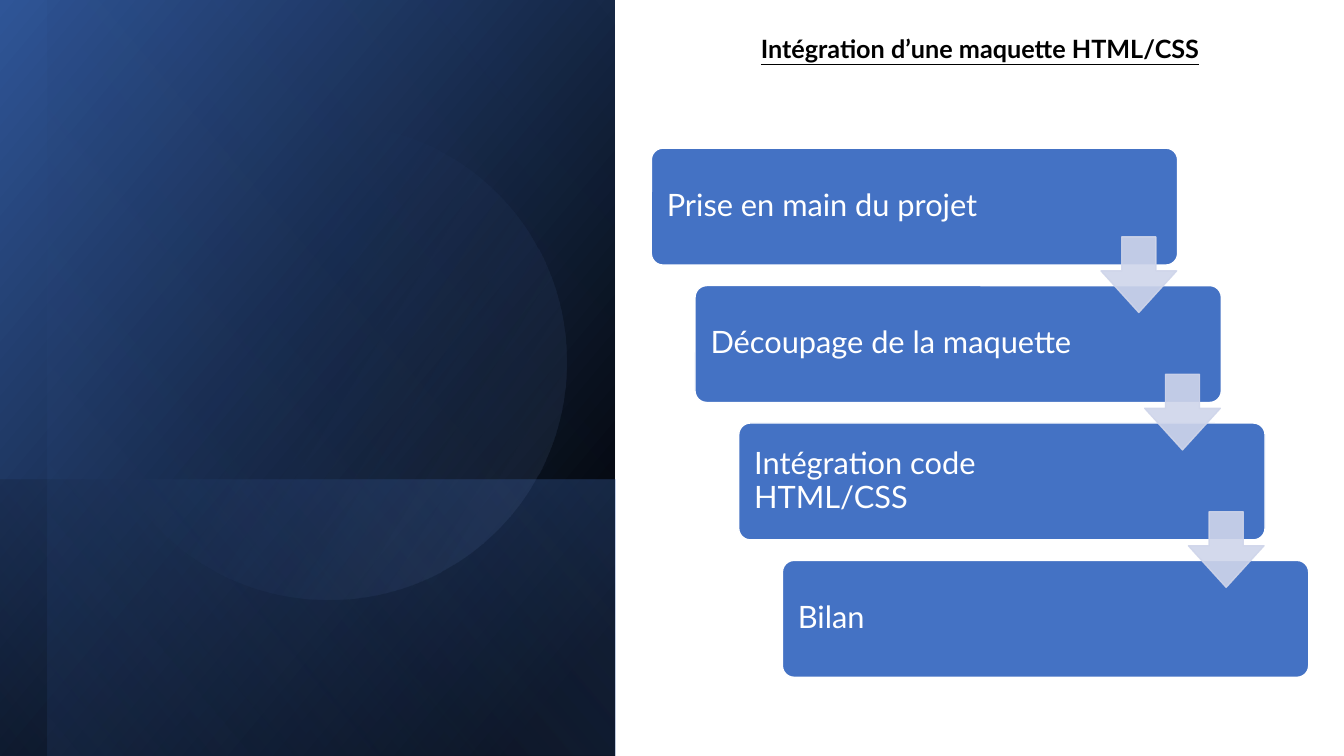
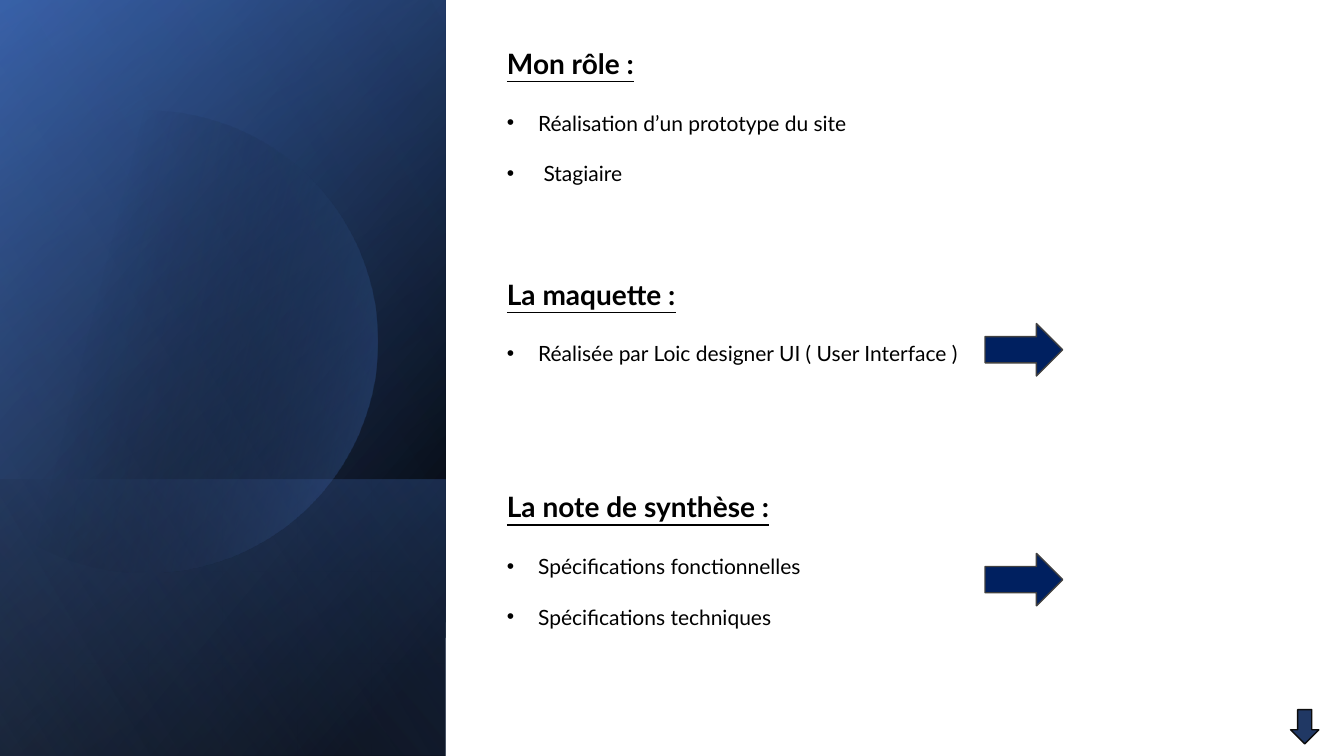
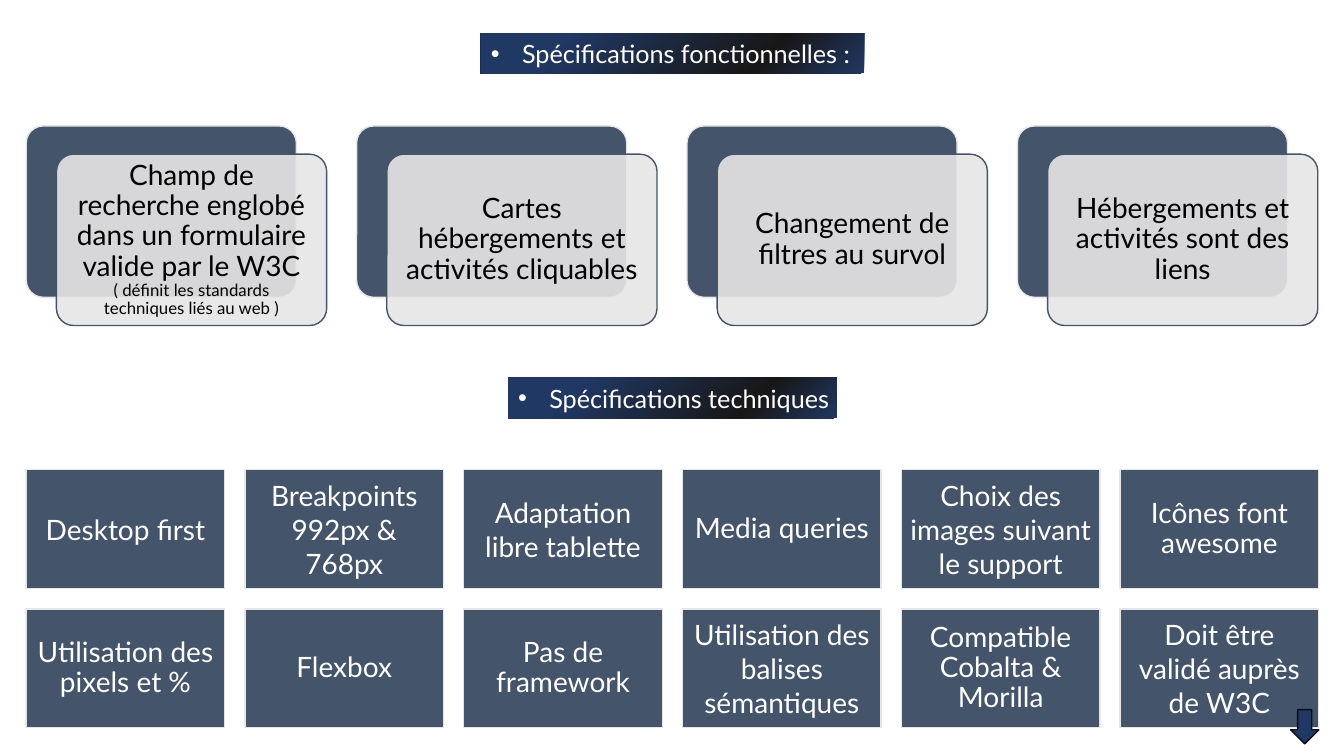
from dataclasses import dataclass
from math import acos, cos, pi, sin

from lxml import etree
from pptx import Presentation
from pptx.dml.color import RGBColor
from pptx.enum.shapes import MSO_SHAPE
from pptx.enum.text import MSO_ANCHOR, PP_ALIGN
from pptx.oxml.ns import qn
from pptx.util import Inches, Pt

RECT = MSO_SHAPE.RECTANGLE
ROUND = MSO_SHAPE.ROUNDED_RECTANGLE
OVAL = MSO_SHAPE.OVAL
DOWN = MSO_SHAPE.DOWN_ARROW
RIGHT = MSO_SHAPE.RIGHT_ARROW
MIDDLE, TOP = MSO_ANCHOR.MIDDLE, MSO_ANCHOR.TOP
LEFT, CENTER = PP_ALIGN.LEFT, PP_ALIGN.CENTER

FONT = "Lato"
COLORS = {
    "black": "000000", "white": "FFFFFF", "blue": "4472C4", "deep": "2F5597",
    "pale": "8FAADC", "mist": "CFD5EA", "navy": "203864", "ink": "002060",
    "slate": "44546A", "light": "E7E6E6", "coal": "181717", "edge": "404040",
    "dark": "0D0D0D",
}


@dataclass(frozen=True)
class Box:
    x: float
    y: float
    w: float
    h: float

    def emu(self) -> tuple:
        return tuple(Inches(v) for v in (self.x, self.y, self.w, self.h))


@dataclass(frozen=True)
class Stop:
    pos: int
    color: str
    alpha: int = 100


@dataclass(frozen=True)
class Panel:
    box: Box
    stops: tuple
    angle: int


@dataclass(frozen=True)
class Topic:
    title: str
    y: float
    h: float
    items: tuple


@dataclass(frozen=True)
class Tile:
    text: str
    tight: bool = True


# Shared gradients
BASE = (Stop(8, "black"), Stop(100, "deep"))
FOOT = (Stop(2, "blue", 29), Stop(100, "black", 30))
BANNER = (Stop(21, "navy"), Stop(73, "coal"), Stop(100, "navy"))


def rgb(name: str) -> RGBColor:
    return RGBColor.from_string(COLORS[name])


def fade(color, alpha: int) -> None:
    """Add transparency to a colour element."""
    if alpha < 100:
        etree.SubElement(color, qn("a:alpha"), val=str(alpha * 1000))


def grade(shape, stops: tuple, angle: int | None = None) -> None:
    """Fill with a linear gradient, or a radial one when there is no angle."""
    shape.fill.background()
    grad = etree.Element(qn("a:gradFill"), rotWithShape="1")
    stack = etree.SubElement(grad, qn("a:gsLst"))
    for stop in stops:
        mark = etree.SubElement(stack, qn("a:gs"), pos=str(stop.pos * 1000))
        fade(etree.SubElement(mark, qn("a:srgbClr"), val=COLORS[stop.color]), stop.alpha)
    if angle is None:
        path = etree.SubElement(grad, qn("a:path"))
        path.set("path", "circle")
        etree.SubElement(path, qn("a:fillToRect"), r="100000", b="100000")
    else:
        etree.SubElement(grad, qn("a:lin"), ang=str(angle * 60000), scaled="0")
    props = shape._element.spPr
    props.replace(props.find(qn("a:noFill")), grad)


def draw(slide, kind, box: Box, fill: str | None = None, line: str | None = None,
         alpha: int = 100, adj: tuple = ()):
    shape = slide.shapes.add_shape(kind, *box.emu())
    shape.shadow.inherit = False
    for i, value in enumerate(adj):
        shape.adjustments[i] = value
    if fill:
        shape.fill.solid()
        shape.fill.fore_color.rgb = rgb(fill)
        fade(shape._element.spPr.find(".//" + qn("a:srgbClr")), alpha)
    if line:
        shape.line.color.rgb = rgb(line)
        shape.line.width = Pt(1)
    else:
        shape.line.fill.background()
    return shape


def frame(shape, pads: tuple = (0.1, 0.05, 0.1, 0.05), anchor=MIDDLE):
    text = shape.text_frame
    text.word_wrap = True
    text.vertical_anchor = anchor
    (text.margin_left, text.margin_top,
     text.margin_right, text.margin_bottom) = (Inches(p) for p in pads)
    return text


def write(para, text: str, size: float, color: str, align=LEFT, bold: bool = False,
          under: bool = False, space: float = 1.0) -> None:
    para.alignment = align
    para.line_spacing = space
    run = para.add_run()
    run.text = text
    font = run.font
    font.name, font.size, font.bold, font.underline = FONT, Pt(size), bold, under
    font.color.rgb = rgb(color)


def bullet(para) -> None:
    props = para._p.get_or_add_pPr()
    props.set("marL", str(Inches(0.31)))
    props.set("indent", str(-Inches(0.31)))
    etree.SubElement(props, qn("a:buFont"), typeface="Arial")
    etree.SubElement(props, qn("a:buChar"), char="•")


def panel(slide, part: Panel) -> None:
    """Draw a mirrored gradient panel turned by a quarter."""
    box = part.box
    shift = (box.w - box.h) / 2
    shape = draw(slide, RECT, Box(box.x + shift, box.y - shift, box.h, box.w))
    shape.rotation = 90
    shape._element.spPr.xfrm.set("flipH", "1")
    grade(shape, part.stops, part.angle)


def corner(slide) -> None:
    draw(slide, DOWN, Box(12.8, 7.04, 0.28, 0.34), "navy", "dark")


def plan(slide) -> None:
    # Side art
    for part in (
        Panel(Box(0, 0, 6.1, 7.5), BASE, 50),
        Panel(Box(0, 4.76, 6.1, 2.74), FOOT, 130),
        Panel(Box(0.47, 0, 5.63, 7.5), (Stop(0, "black", 0), Stop(99, "blue", 11)), 130),
    ):
        panel(slide, part)
    disc = draw(slide, OVAL, Box(0.9, 1.23, 4.72, 4.72))
    disc.rotation = 101.6
    grade(disc, (Stop(39, "blue", 0), Stop(100, "pale", 15)), 290)

    # Title
    title = slide.shapes.add_textbox(*Box(6.33, 0.28, 6.78, 0.4).emu())
    write(frame(title, anchor=TOP).paragraphs[0], "Intégration d’une maquette HTML/CSS",
          18, "black", CENTER, True, True)

    # Stairs, then the arrows between them
    steps = ("Prise en main du projet", "Découpage de la maquette",
             "Intégration code HTML/CSS", "Bilan")
    dx, dy = 1.3 / 3, 4.09 / 3
    for i, step in enumerate(steps):
        box = Box(6.46 + i * dx, 1.47 + i * dy, 5.22, 1.16)
        shape = draw(slide, ROUND, box, "blue", "white", adj=(0.1,))
        text = frame(shape, (0.12, 0.09, 1.35, 0.09))
        write(text.paragraphs[0], step, 22, "white", space=0.9)
    for i in range(len(steps) - 1):
        box = Box(10.92 + i * dx, 2.35 + i * dy, 0.75, 0.75)
        arrow = draw(slide, DOWN, box, "mist", "mist", 90, (0.45, 0.55))
        fade(arrow.line._ln.find(".//" + qn("a:srgbClr")), 90)


def role(slide) -> None:
    # Side art
    full = Box(0, 0, 4.42, 7.5)
    for part in (
        Panel(full, BASE, 50),
        Panel(full, (Stop(0, "black", 0), Stop(99, "blue", 46)), 30),
        Panel(Box(0, 4.76, 4.42, 2.74), FOOT, 130),
    ):
        panel(slide, part)

    # Disc cut off by the slide's left edge
    cx, cy, rad, count = 1.45, 3.39, 2.29, 120
    reach = pi - acos(cx / rad)
    turns = [reach * (2 * i / count - 1) for i in range(count + 1)]
    points = [(Inches(cx + rad * cos(t)), Inches(cy + rad * sin(t))) for t in turns]
    form = slide.shapes.build_freeform(*points[0])
    form.add_line_segments(points[1:], close=True)
    disc = form.convert_to_shape()
    disc.shadow.inherit = False
    disc.line.fill.background()
    grade(disc, (Stop(29, "black", 0), Stop(100, "blue", 43)), 14)
    panel(slide, Panel(full, (Stop(0, "black", 0), Stop(99, "pale", 11)), 120))

    # Topics
    for topic in (
        Topic("Mon rôle :", 0.41, 1.5,
              ("Réalisation d’un prototype du site", " Stagiaire")),
        Topic("La maquette :", 2.7, 0.99,
              ("Réalisée par Loic designer UI ( User Interface )",)),
        Topic("La note de synthèse :", 4.81, 2.41,
              ("Spécifications fonctionnelles", "Spécifications techniques")),
    ):
        box = slide.shapes.add_textbox(*Box(4.93, topic.y, 6.7, topic.h).emu())
        text = frame(box, anchor=TOP)
        write(text.paragraphs[0], topic.title, 20, "black", bold=True, under=True)
        for i, item in enumerate(topic.items):
            para = text.add_paragraph()
            write(para, item, 15, "black")
            para.space_before = Pt(18 if i else 21.6)
            bullet(para)

    # Arrows
    for y in (3.21, 5.49):
        draw(slide, RIGHT, Box(9.77, y, 0.77, 0.52), "ink", "edge")
    corner(slide)


def specs(slide) -> None:
    # Banners
    for label, box in (
        ("Spécifications fonctionnelles :", Box(4.77, 0.33, 3.8, 0.4)),
        ("Spécifications techniques", Box(5.04, 3.75, 3.26, 0.4)),
    ):
        shape = draw(slide, RECT, box)
        grade(shape, BANNER)
        para = frame(shape, (0.1, 0.05, 0, 0.05)).paragraphs[0]
        write(para, label, 18, "white")
        bullet(para)

    # Cards
    cards = (
        ("Champ de recherche englobé dans un formulaire valide par le W3C ",
         "( définit les standards techniques liés au web )"),
        ("Cartes hébergements et activités cliquables",),
        ("Changement de filtres au survol",),
        ("Hébergements et activités sont des liens",),
    )
    for i, parts in enumerate(cards):
        x = 0.26 + i * 9.83 / 3
        draw(slide, ROUND, Box(x, 1.25, 2.68, 1.7), "slate", "light", adj=(0.1,))
        front = draw(slide, ROUND, Box(x + 0.3, 1.53, 2.68, 1.7), "light", "slate", 90, (0.1,))
        para = frame(front, (0.13,) * 4).paragraphs[0]
        for part, size in zip(parts, (20, 12)):
            write(para, part, size, "black", CENTER, space=0.9)

    # Tiles
    tiles = (
        Tile("Desktop first", False), Tile("Breakpoints 992px & 768px", False),
        Tile("Adaptation libre tablette", False), Tile("Media queries"),
        Tile("Choix des images suivant le support", False), Tile("Icônes font awesome"),
        Tile("Utilisation des pixels et %"), Tile("Flexbox"), Tile("Pas de framework"),
        Tile("Utilisation des balises sémantiques", False),
        Tile("Compatible Cobalta & Morilla"), Tile("Doit être validé auprès de W3C", False),
    )
    for i, tile in enumerate(tiles):
        row, col = divmod(i, 6)
        box = Box(0.26 + col * 2.17, 4.66 + row * 1.38, 1.97, 1.18)
        shape = draw(slide, RECT, box, "slate", "light")
        write(frame(shape, (0.08,) * 4).paragraphs[0], tile.text, 20, "white", CENTER,
              space=0.9 if tile.tight else 1.0)
    corner(slide)


def main() -> None:
    deck = Presentation()
    deck.slide_width, deck.slide_height = Inches(13.33), Inches(7.5)
    for build in (plan, role, specs):
        build(deck.slides.add_slide(deck.slide_layouts[6]))
    deck.save("out.pptx")


if __name__ == "__main__":
    main()
